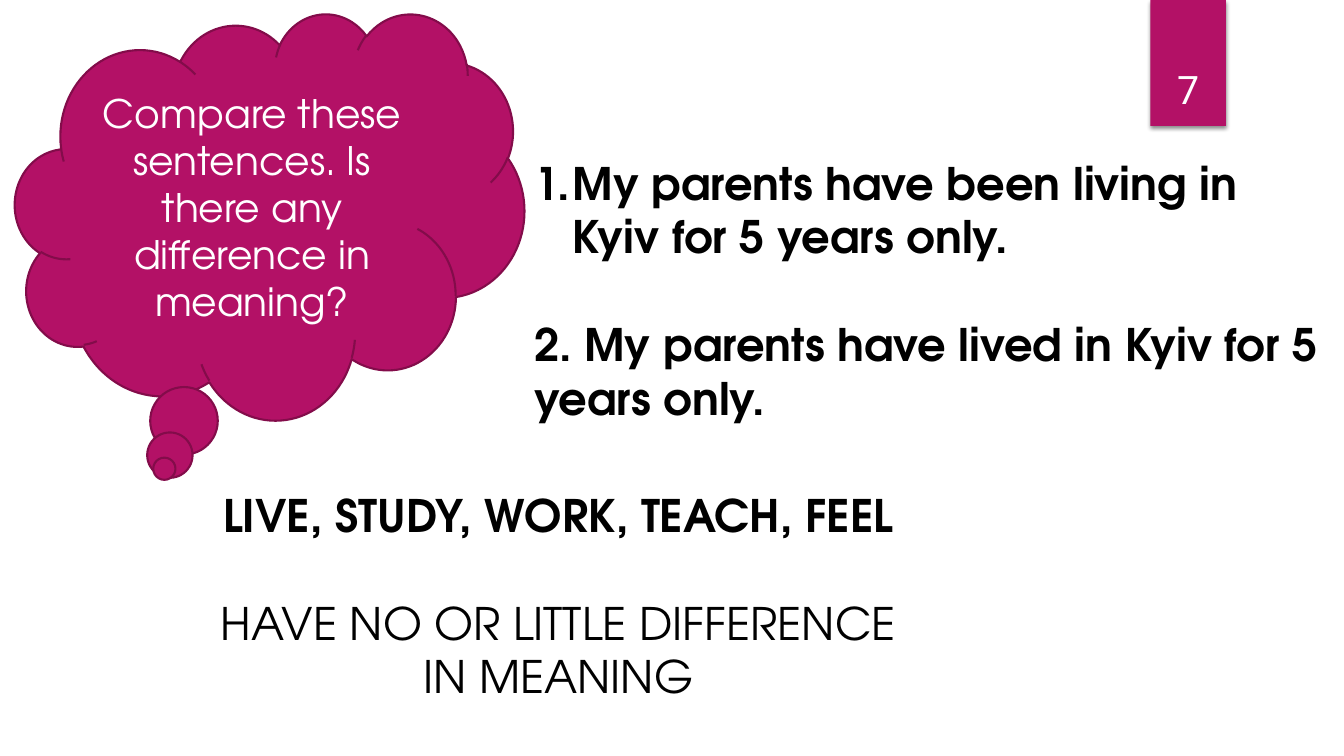
from dataclasses import dataclass
from lxml import etree
from pptx import Presentation
from pptx.dml.color import RGBColor
from pptx.enum.shapes import MSO_SHAPE
from pptx.enum.text import MSO_ANCHOR, MSO_AUTO_SIZE, PP_ALIGN
from pptx.oxml.ns import qn
from pptx.util import Inches, Pt

CLOUD, OVAL, RECT = MSO_SHAPE.CLOUD, MSO_SHAPE.OVAL, MSO_SHAPE.RECTANGLE
TOP, MIDDLE, BOTTOM = MSO_ANCHOR.TOP, MSO_ANCHOR.MIDDLE, MSO_ANCHOR.BOTTOM
LEFT, CENTER = PP_ALIGN.LEFT, PP_ALIGN.CENTER
FIXED = MSO_AUTO_SIZE.NONE


@dataclass(frozen=True)
class Theme:
    pink: RGBColor = RGBColor(0xB3, 0x11, 0x66)
    edge: RGBColor = RGBColor(0x83, 0x0C, 0x4A)
    ink: RGBColor = RGBColor(0, 0, 0)
    white: RGBColor = RGBColor(255, 255, 255)
    face: str = "TeX Gyre Adventor"
    digit: str = "Roboto"
    large: Pt = Pt(32)
    small: Pt = Pt(28)
    gap: Pt = Pt(38.4)


THEME = Theme()


def apply(item, form):
    for key, value in form.items():
        setattr(item, key, value)


def place(shape, box):
    names = ("left", "top", "width", "height")
    apply(shape, dict(zip(names, map(Inches, box))))


def write(shape, lines, color, size, face=THEME.face, align=LEFT, anchor=TOP, wrap=True):
    frame = shape.text_frame
    sides = ("margin_left", "margin_top", "margin_right", "margin_bottom")
    apply(frame, dict.fromkeys(sides, Inches(0.05)))
    apply(frame, {"word_wrap": wrap, "auto_size": FIXED, "vertical_anchor": anchor})
    for rank, (text, bold) in enumerate(lines):
        para = frame.add_paragraph() if rank else frame.paragraphs[0]
        before = THEME.gap if rank else Pt(0)
        apply(para, {"alignment": align, "space_before": before})
        run = para.add_run()
        apply(run, {"text": text})
        apply(run.font, {"name": face, "size": size, "bold": bold})
        run.font.color.rgb = color
    return frame.paragraphs


def draw(slide, kind, box):
    shape = slide.shapes.add_shape(kind, *map(Inches, box))
    shape.shadow.inherit = False
    shape.fill.solid()
    shape.fill.fore_color.rgb = THEME.pink
    return shape


def indent(para, left, hang, tag, form):
    props = para._p.get_or_add_pPr()
    props.set("marL", str(Inches(left)))
    props.set("indent", str(Inches(hang)))
    etree.SubElement(props, qn(tag), form)


def ribbon(slide, box):
    left, top, width, height = box
    band = draw(slide, RECT, box)
    band.line.fill.background()
    effects = band._element.spPr.find(qn("a:effectLst"))
    shade = etree.SubElement(effects, qn("a:outerShdw"), {
        "blurRad": str(Pt(3)), "dist": str(Pt(2)), "dir": "5400000", "rotWithShape": "0"})
    tint = etree.SubElement(shade, qn("a:srgbClr"), {"val": str(THEME.ink)})
    etree.SubElement(tint, qn("a:alpha"), {"val": "45000"})
    label = slide.shapes.add_textbox(*map(Inches, (left + 0.21, top + 0.59, 0.33, 0.57)))
    write(label, [("7", False)], THEME.white, THEME.small, THEME.digit, CENTER, BOTTOM, False)


def thought(slide, box):
    left, top, width, height = box
    bubbles = [(1.34, 3.71, 0.67), (1.31, 4.16, 0.45), (1.37, 4.41, 0.22)]
    parts = [(OVAL, (left + x, top + y, size, size)) for x, y, size in bubbles]
    for kind, area in [(CLOUD, box), *parts]:
        shape = draw(slide, kind, area)
        shape.line.color.rgb = THEME.edge
        shape.line.width = Pt(1.5)
    title = slide.shapes.title
    place(title, (left + 0.75, top + 0.69, 3.2, 2.46))
    slide.shapes._spTree.append(title._element)
    line = "Compare these sentences. Is there any difference in meaning?"
    write(title, [(line, False)], THEME.white, THEME.small, align=CENTER, anchor=MIDDLE)


def pair(slide, box):
    body = slide.placeholders[1]
    place(body, box)
    first, second = write(body, [
        ("My parents have been living in Kyiv for 5 years only.", True),
        ("2. My parents have lived in Kyiv for 5 years only.", True),
    ], THEME.ink, THEME.large)
    indent(first, 0.38, -0.38, "a:buAutoNum", {"type": "arabicPeriod"})
    indent(second, 0, 0, "a:buNone", {})


def verbs(slide, box):
    note = slide.shapes.add_textbox(*map(Inches, box))
    write(note, [
        ("LIVE, STUDY, WORK, TEACH, FEEL", True),
        ("HAVE NO OR LITTLE DIFFERENCE IN MEANING", False),
    ], THEME.ink, THEME.large, align=CENTER)


def main():
    deck = Presentation()
    apply(deck, {"slide_width": Inches(13.33), "slide_height": Inches(7.5)})
    slide = deck.slides.add_slide(deck.slide_layouts[1])
    ribbon(slide, (11.41, 0, 0.75, 1.25))
    pair(slide, (5.25, 1.49, 7.93, 2.81))
    thought(slide, (0.15, 0.13, 5.05, 4.03))
    verbs(slide, (2.11, 4.79, 6.86, 2.27))
    deck.save("out.pptx")


if __name__ == "__main__":
    main()
